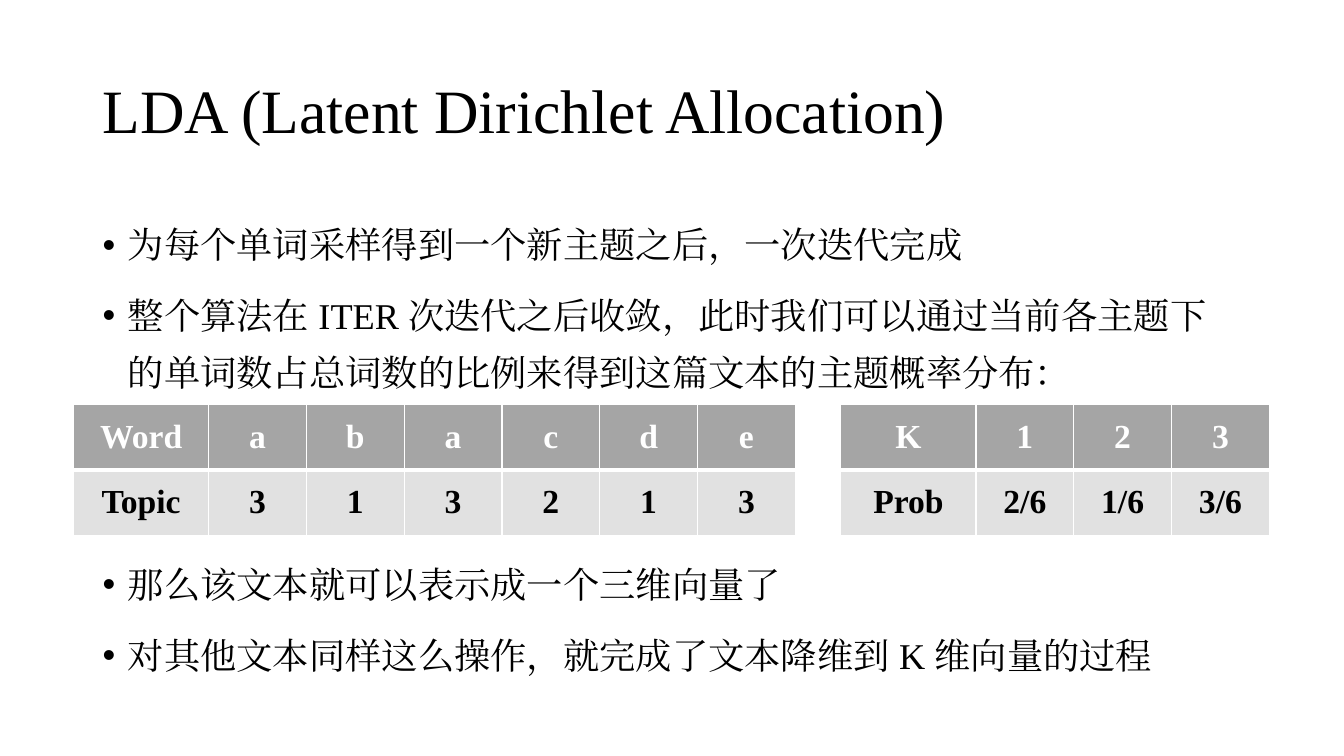
from dataclasses import dataclass

from lxml import etree
from pptx import Presentation
from pptx.dml.color import RGBColor
from pptx.enum import lang, text
from pptx.oxml import ns
from pptx.util import Inches, Pt


@dataclass(frozen=True)
class Theme:
    font: str = "Times New Roman"
    ink: str = "000000"
    white: str = "FFFFFF"
    header_fill: str = "A5A5A5"
    body_fill: str = "E1E1E1"
    title_size: float = 44
    bullet_size: float = 25.9
    table_size: float = 24
    bullet_leading: float = 40.5
    thin_line: float = 1
    thick_line: float = 3


@dataclass(frozen=True)
class Bullet:
    words: str
    space_before: float = 10


@dataclass(frozen=True)
class WordTable:
    left: float
    header: tuple[str, ...]
    values: tuple[str, ...]


THEME = Theme()
TABLE_TOP = 4.01
ROW_HEIGHT = 0.65
LABEL_WIDTH, VALUE_WIDTH = 1.34, 0.97

TITLE = "LDA (Latent Dirichlet Allocation)"
BULLETS = (
    Bullet("为每个单词采样得到一个新主题之后，一次迭代完成", 0),
    Bullet("整个算法在 ITER 次迭代之后收敛，此时我们可以通过当前各主题下"
           "的单词数占总词数的比例来得到这篇文本的主题概率分布："),
    Bullet("那么该文本就可以表示成一个三维向量了", 111),  # leaves room for the tables
    Bullet("对其他文本同样这么操作，就完成了文本降维到 K 维向量的过程"),
)
TABLES = (
    WordTable(8.34, ("K", "1", "2", "3"), ("Prob", "2/6", "1/6", "3/6")),
    WordTable(0.73, ("Word", "a", "b", "a", "c", "d", "e"),
              ("Topic", "3", "1", "3", "2", "1", "3")),
)


def format_runs(para, size: float, color: str, bold: bool = False) -> None:
    for span in para.runs:
        span.font.name = THEME.font
        span.font.size = Pt(size)
        span.font.bold = bold
        span.font.color.rgb = RGBColor.from_string(color)


def add_title(page) -> None:
    title = page.shapes.title
    title.left, title.top = Inches(0.92), Inches(0.4)
    title.width, title.height = Inches(11.5), Inches(1.45)
    frame = title.text_frame
    frame.text = TITLE
    frame.word_wrap = True
    frame.auto_size = text.MSO_AUTO_SIZE.NONE
    frame.vertical_anchor = text.MSO_ANCHOR.MIDDLE
    para = frame.paragraphs[0]
    para.alignment = text.PP_ALIGN.LEFT
    para.line_spacing = 0.9
    format_runs(para, THEME.title_size, THEME.ink)


def set_bullet(para) -> None:
    """Give the paragraph a round bullet with a hanging indent."""
    properties = para._p.get_or_add_pPr()
    properties.set("marL", str(Inches(0.25)))
    properties.set("indent", str(-Inches(0.25)))
    etree.SubElement(properties, ns.qn("a:buFont"), typeface="Arial")
    etree.SubElement(properties, ns.qn("a:buChar"), char="•")


def add_bullets(page) -> None:
    box = page.shapes.add_textbox(Inches(0.92), Inches(2.03), Inches(11.5), Inches(4.76))
    frame = box.text_frame
    frame.word_wrap = True
    frame.text = "\n".join(bullet.words for bullet in BULLETS)
    for para, bullet in zip(frame.paragraphs, BULLETS):
        para.line_spacing = Pt(THEME.bullet_leading)
        para.space_before = Pt(bullet.space_before)
        set_bullet(para)
        format_runs(para, THEME.bullet_size, THEME.ink)
        for span in para.runs:
            span.font.language_id = lang.MSO_LANGUAGE_ID.SIMPLIFIED_CHINESE
            etree.SubElement(span.font._element, ns.qn("a:ea"), typeface=THEME.font)


def set_borders(cell, top: float, bottom: float) -> None:
    properties = cell._tc.get_or_add_tcPr()
    widths = {"lnL": THEME.thin_line, "lnR": THEME.thin_line, "lnT": top, "lnB": bottom}
    for index, (side, width) in enumerate(widths.items()):
        line = etree.Element(ns.qn(f"a:{side}"), w=str(Pt(width)))
        fill = etree.SubElement(line, ns.qn("a:solidFill"))
        etree.SubElement(fill, ns.qn("a:srgbClr"), val=THEME.white)
        properties.insert(index, line)


def format_cell(cell, words: str, is_header: bool) -> None:
    cell.text = words
    cell.vertical_anchor = text.MSO_ANCHOR.MIDDLE
    cell.fill.solid()
    cell.fill.fore_color.rgb = RGBColor.from_string(
        THEME.header_fill if is_header else THEME.body_fill)
    para = cell.text_frame.paragraphs[0]
    para.alignment = text.PP_ALIGN.CENTER
    format_runs(para, THEME.table_size, THEME.white if is_header else THEME.ink, bold=True)
    if is_header:
        set_borders(cell, THEME.thin_line, THEME.thick_line)
    else:
        set_borders(cell, THEME.thick_line, THEME.thin_line)


def add_word_table(page, content: WordTable) -> None:
    rows = (content.header, content.values)
    count = len(content.header)
    width = LABEL_WIDTH + VALUE_WIDTH * (count - 1)
    table = page.shapes.add_table(
        len(rows), count, Inches(content.left), Inches(TABLE_TOP),
        Inches(width), Inches(ROW_HEIGHT * len(rows))).table
    for index, column in enumerate(table.columns):
        column.width = Inches(VALUE_WIDTH if index else LABEL_WIDTH)
    for row_index, row in enumerate(rows):
        for column_index, words in enumerate(row):
            format_cell(table.cell(row_index, column_index), words, row_index == 0)


def main() -> None:
    deck = Presentation()
    deck.slide_width, deck.slide_height = Inches(13.33), Inches(7.5)
    page = deck.slides.add_slide(deck.slide_layouts.get_by_name("Title Only"))
    add_title(page)
    add_bullets(page)
    for content in TABLES:
        add_word_table(page, content)
    deck.save("out.pptx")


if __name__ == "__main__":
    main()
